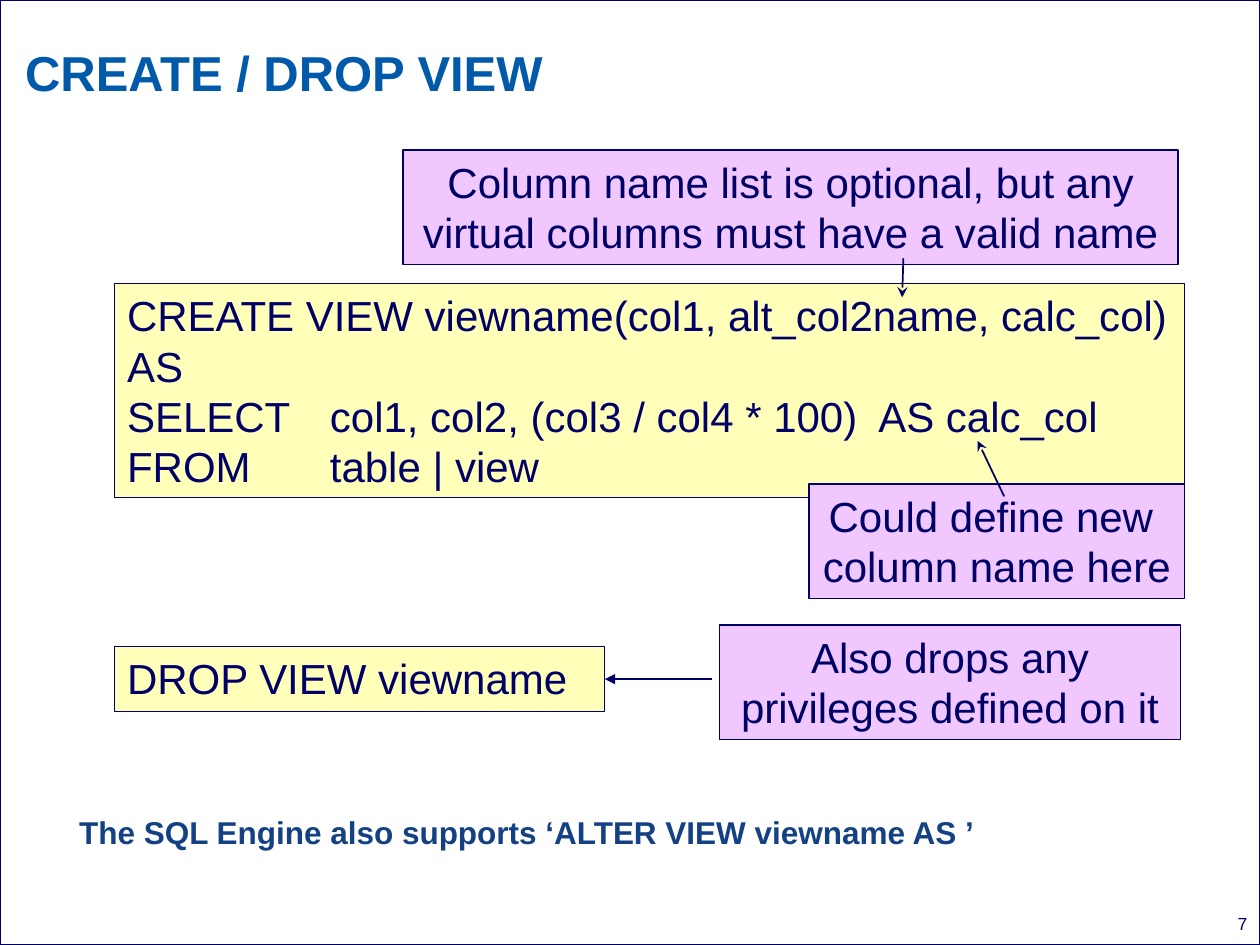
from lxml import etree
from pptx import Presentation
from pptx.dml.color import RGBColor
from pptx.enum.shapes import MSO_CONNECTOR, MSO_SHAPE
from pptx.enum.text import MSO_ANCHOR, PP_ALIGN
from pptx.oxml.ns import qn
from pptx.util import Inches, Pt

LEFT, CENTER, RIGHT = PP_ALIGN.LEFT, PP_ALIGN.CENTER, PP_ALIGN.RIGHT
TOP, MIDDLE = MSO_ANCHOR.TOP, MSO_ANCHOR.MIDDLE
RECTANGLE, STRAIGHT = MSO_SHAPE.RECTANGLE, MSO_CONNECTOR.STRAIGHT
RIGHT_SIDE = 3

COLORS = {
    "ink": "000066",
    "title": "005AA9",
    "note": "134183",
    "code": "FFFFB9",
    "callout": "F0C8FF",
}


class SlideBuilder:
    """Holds the style and the current slide."""

    font = "Arial"
    insets = (0.1, 0.05, 0.1, 0.05)

    def __init__(self, slide):
        self.slide = slide

    def color(self, name):
        return RGBColor.from_string(COLORS[name])

    def fill_text(self, shape, lines, size, color="ink", bold=False, align=LEFT,
                  anchor=TOP, insets=insets, spacing=None, tab=None):
        frame = shape.text_frame
        frame.word_wrap = True
        frame.vertical_anchor = anchor
        (frame.margin_left, frame.margin_top,
         frame.margin_right, frame.margin_bottom) = map(Inches, insets)
        for index, line in enumerate(lines):
            paragraph = frame.add_paragraph() if index else frame.paragraphs[0]
            paragraph.alignment = align
            if spacing:
                paragraph.line_spacing = spacing
            if tab:
                properties = paragraph._p.get_or_add_pPr()
                stops = etree.SubElement(properties, qn("a:tabLst"))
                etree.SubElement(stops, qn("a:tab"), pos=str(Inches(tab)), algn="l")
            run = paragraph.add_run()
            run.text = line
            run.font.name = self.font
            run.font.size = Pt(size)
            run.font.bold = bold
            run.font.color.rgb = self.color(color)

    def text(self, box, line, size, **style):
        shape = self.slide.shapes.add_textbox(*map(Inches, box))
        self.fill_text(shape, [line], size, **style)

    def rectangle(self, box, fill=None, width=0.75):
        shape = self.slide.shapes.add_shape(RECTANGLE, *map(Inches, box))
        shape.shadow.inherit = False
        if fill:
            shape.fill.solid()
            shape.fill.fore_color.rgb = self.color(fill)
        else:
            shape.fill.background()
        shape.line.color.rgb = self.color("ink")
        shape.line.width = Pt(width)
        return shape

    def code(self, box, lines, tab=None):
        shape = self.rectangle(box, "code")
        self.fill_text(shape, lines, 24, tab=tab)
        return shape

    def callout(self, box, lines, width=0.75):
        shape = self.rectangle(box, "callout", width)
        self.fill_text(shape, lines, 24, align=CENTER)

    def arrow(self, start, end, head="stealth", width=1, target=None, side=None):
        connector = self.slide.shapes.add_connector(
            STRAIGHT, *map(Inches, start + end))
        if target is not None:
            connector.end_connect(target, side)
        connector.line.color.rgb = self.color("ink")
        connector.line.width = Pt(width)
        line = connector.get_or_add_ln()
        etree.SubElement(line, qn("a:tailEnd"), type=head)
        etree.SubElement(connector._element.spPr, qn("a:effectLst"))


def main():
    presentation = Presentation()
    presentation.slide_width, presentation.slide_height = Inches(10), Inches(7.5)
    builder = SlideBuilder(presentation.slides.add_slide(presentation.slide_layouts[6]))

    # Page number and closing note
    builder.text((6.4, 7.2, 3.5, 0.17), "7", 10, align=RIGHT,
                 insets=(0, 0.05, 0, 0.05))
    builder.text((0.53, 6.49, 9.11, 0.45),
                 "The SQL Engine also supports ‘ALTER VIEW viewname AS ’",
                 18, color="note", bold=True, spacing=0.67)

    # CREATE VIEW statement with its two callouts
    builder.code((0.91, 2.25, 8.49, 1.7), [
        "CREATE VIEW viewname(col1, alt_col2name, calc_col)",
        "AS",
        "SELECT \tcol1, col2, (col3 / col4 * 100)  AS calc_col",
        "FROM \ttable | view",
    ], tab=1.61)
    builder.callout((3.2, 1.19, 6.15, 0.91), [
        "Column name list is optional, but any",
        "virtual columns must have a valid name",
    ], width=1)
    builder.arrow((7.17, 2.05), (7.16, 2.36))
    builder.callout((6.42, 3.84, 2.98, 0.91),
                    ["Could define new ", "column name here"])
    builder.arrow((7.97, 3.94), (7.76, 3.5))

    # Title and slide border
    builder.text((0, 0, 10, 1.08), "CREATE / DROP VIEW", 28, color="title",
                 bold=True, anchor=MIDDLE, insets=(0.2, 0.2, 1.97, 0.14))
    builder.rectangle((0, 0, 10, 7.5), width=1)

    # DROP VIEW statement with its callout
    drop_view = builder.code((0.91, 5.13, 3.89, 0.52), ["DROP VIEW viewname"])
    builder.callout((5.71, 4.96, 3.66, 0.91),
                    ["Also drops any privileges defined on it"])
    builder.arrow((5.65, 5.39), (4.8, 5.39), head="triangle", width=0.75,
                  target=drop_view, side=RIGHT_SIDE)

    presentation.save("out.pptx")


if __name__ == "__main__":
    main()
